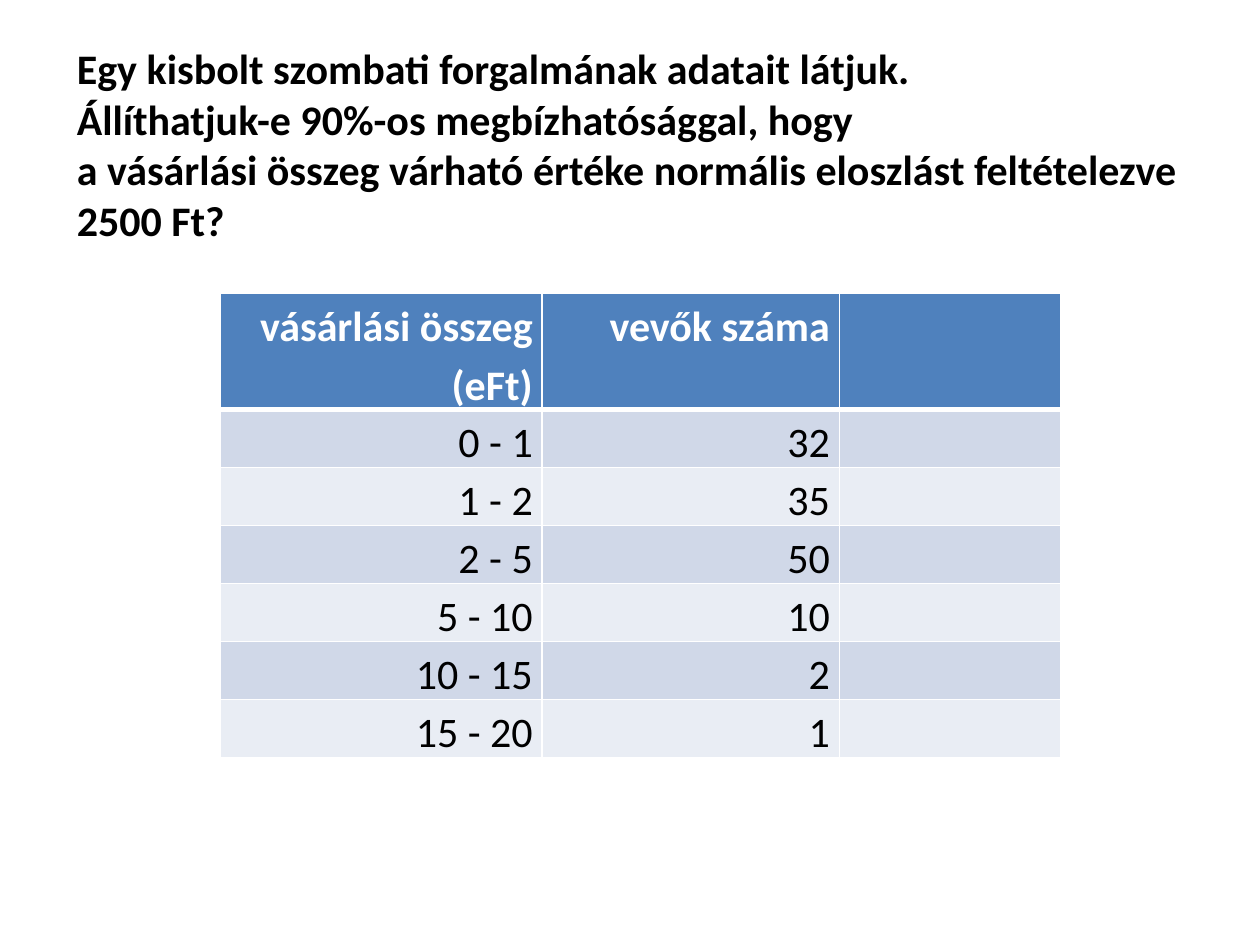
from lxml import etree
from pptx import Presentation
from pptx.dml.color import RGBColor
from pptx.enum.text import MSO_ANCHOR, PP_ALIGN
from pptx.oxml.ns import qn
from pptx.util import Cm, Pt

RIGHT = PP_ALIGN.RIGHT
TOP = MSO_ANCHOR.TOP
BLACK = RGBColor(0x00, 0x00, 0x00)
WHITE = RGBColor(0xFF, 0xFF, 0xFF)
BLUE = RGBColor(0x4F, 0x81, 0xBD)
BANDS = [RGBColor(0xE9, 0xED, 0xF4), RGBColor(0xD0, 0xD8, 0xE8)]

QUESTION = [
    "Egy kisbolt szombati forgalmának adatait látjuk.",
    "Állíthatjuk-e 90%-os megbízhatósággal, hogy",
    "a vásárlási összeg várható értéke normális eloszlást feltételezve 2500 Ft?",
]
ROWS = [
    ("vásárlási összeg (eFt)", "vevők száma", ""),
    ("0 - 1", "32", ""),
    ("1 - 2", "35", ""),
    ("2 - 5", "50", ""),
    ("5 - 10", "10", ""),
    ("10 - 15", "2", ""),
    ("15 - 20", "1", ""),
]
COL_WIDTHS = [6.48, 5.99, 4.47]
ROW_HEIGHT = 1.04

BASE_FONT = {"name": "Calibri", "size": Pt(24)}
TITLE_FONT = {**BASE_FONT, "bold": True}
HEAD_FONT = {**BASE_FONT, "bold": True}
BODY_FONT = {**BASE_FONT, "bold": False}
CELL_FORMAT = {"margin_left": Cm(0.19), "margin_right": Cm(0.19),
               "margin_top": 0, "margin_bottom": 0, "vertical_anchor": TOP}
PARA_FORMAT = {"alignment": RIGHT, "line_spacing": 1.15}


def apply(obj, values):
    for name, value in values.items():
        setattr(obj, name, value)


def write(p, text, font, color):
    r = p.add_run()
    r.text = text
    apply(r.font, font)
    r.font.color.rgb = color


def set_borders(cell, widths):
    tcPr = cell._tc.get_or_add_tcPr()
    for i, (side, width) in enumerate(widths.items()):
        ln = etree.Element(qn(f"a:ln{side}"), w=str(Pt(width)))
        fill = etree.SubElement(ln, qn("a:solidFill"))
        etree.SubElement(fill, qn("a:srgbClr"), val=str(WHITE))
        tcPr.insert(i, ln)


def add_question(s):
    tf = s.shapes.add_textbox(Cm(1.3), Cm(0.74), Cm(23.19), Cm(4.37)).text_frame
    tf.word_wrap = True
    for i, line in enumerate(QUESTION):
        p = tf.add_paragraph() if i else tf.paragraphs[0]
        write(p, line, TITLE_FONT, BLACK)


def add_sales_table(s):
    table = s.shapes.add_table(
        len(ROWS), len(COL_WIDTHS), Cm(4.45), Cm(5.92),
        Cm(sum(COL_WIDTHS)), Cm(ROW_HEIGHT * len(ROWS))).table
    for col, width in zip(table.columns, COL_WIDTHS):
        col.width = Cm(width)
    for i, values in enumerate(ROWS):
        table.rows[i].height = Cm(ROW_HEIGHT)
        font, color, fill = (BODY_FONT, BLACK, BANDS[i % 2]) if i else (HEAD_FONT, WHITE, BLUE)
        for j, value in enumerate(values):
            cell = table.cell(i, j)
            cell.fill.solid()
            cell.fill.fore_color.rgb = fill
            set_borders(cell, {"L": 1, "R": 1, "T": 3 if i == 1 else 1, "B": 3 if i == 0 else 1})
            if value:
                apply(cell, CELL_FORMAT)
                p = cell.text_frame.paragraphs[0]
                apply(p, PARA_FORMAT)
                write(p, value, font, color)


def main():
    prs = Presentation()
    prs.slide_width, prs.slide_height = Cm(25.4), Cm(19.05)
    s = prs.slides.add_slide(prs.slide_layouts[6])
    add_question(s)
    add_sales_table(s)
    prs.save("out.pptx")


if __name__ == "__main__":
    main()
